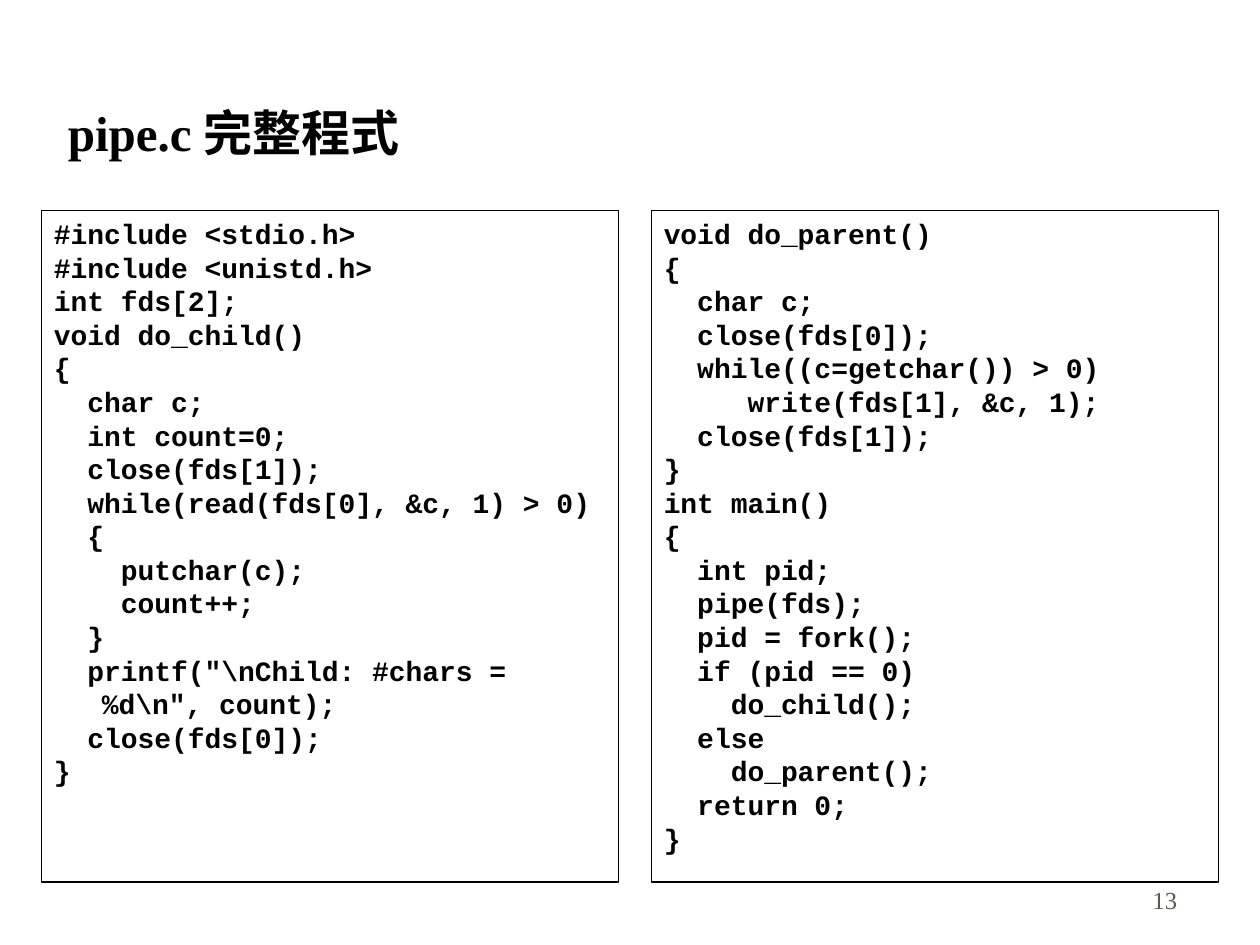
from pptx import Presentation
from pptx import util as u
from pptx.dml.color import RGBColor
from pptx.enum import shapes, text

CHILD_CODE = r"""#include <stdio.h>
#include <unistd.h>
int fds[2];
void do_child()
{
  char c;
  int count=0;
  close(fds[1]);
  while(read(fds[0], &c, 1) > 0)
  {
    putchar(c);
    count++;
  }
  printf("\nChild: #chars = %d\n", count);
  close(fds[0]);
}"""

PARENT_CODE = """void do_parent()
{
  char c;
  close(fds[0]);
  while((c=getchar()) > 0)
     write(fds[1], &c, 1);
  close(fds[1]);
}
int main()
{
  int pid;
  pipe(fds);
  pid = fork();
  if (pid == 0)
    do_child();
  else
    do_parent();
  return 0;
}"""


def color(value):
    return RGBColor.from_string(value)


class CodeSlide:
    """Style and drawing methods for a slide of code listings."""
    ink = "000000"
    muted = "5E574E"
    serif = "Times New Roman"
    mono = "Courier New"
    hanging = u.Inches(0.38)

    def __init__(self, page):
        self.page = page

    def style(self, para, font, size, ink, bold):
        para.font.name = font
        para.font.size = u.Pt(size)
        para.font.bold = bold
        para.font.color.rgb = color(ink)

    def label(self, words, left, top, width, height, size, ink, bold=False,
              align=text.PP_ALIGN.LEFT):
        box = self.page.shapes.add_textbox(*map(u.Inches, (left, top, width, height)))
        frame = box.text_frame
        frame.word_wrap = True
        frame.vertical_anchor = text.MSO_ANCHOR.BOTTOM
        para = frame.paragraphs[0]
        para.text = words
        para.alignment = align
        self.style(para, self.serif, size, ink, bold)

    def listing(self, code, left, top, width, height):
        box = self.page.shapes.add_shape(
            shapes.MSO_SHAPE.RECTANGLE, *map(u.Inches, (left, top, width, height)))
        box.shadow.inherit = False
        box.fill.background()
        box.line.color.rgb = color(self.ink)
        box.line.width = u.Pt(0.75)
        frame = box.text_frame
        frame.word_wrap = True
        frame.vertical_anchor = text.MSO_ANCHOR.TOP
        frame.text = code
        for para in frame.paragraphs:
            para.alignment = text.PP_ALIGN.LEFT
            self.style(para, self.mono, 16, self.ink, True)
            # Wrapped lines hang under the first one
            properties = para._p.get_or_add_pPr()
            properties.set("marL", str(self.hanging))
            properties.set("indent", str(-self.hanging))


def main():
    deck = Presentation()
    deck.slide_width, deck.slide_height = u.Inches(10), u.Inches(7.5)
    slide = CodeSlide(deck.slides.add_slide(deck.slide_layouts[6]))

    # Title
    slide.label("pipe.c 完整程式", 0.44, 0.25, 8.5, 1.08, 28, slide.ink, bold=True)

    # Code listings side by side
    slide.listing(CHILD_CODE, 0.33, 1.67, 4.58, 5.33)
    slide.listing(PARENT_CODE, 5.17, 1.67, 4.5, 5.33)

    # Page number
    slide.label("13", 7.36, 6.81, 2.08, 0.5, 14, slide.muted,
                align=text.PP_ALIGN.RIGHT)

    deck.save("out.pptx")


if __name__ == "__main__":
    main()
